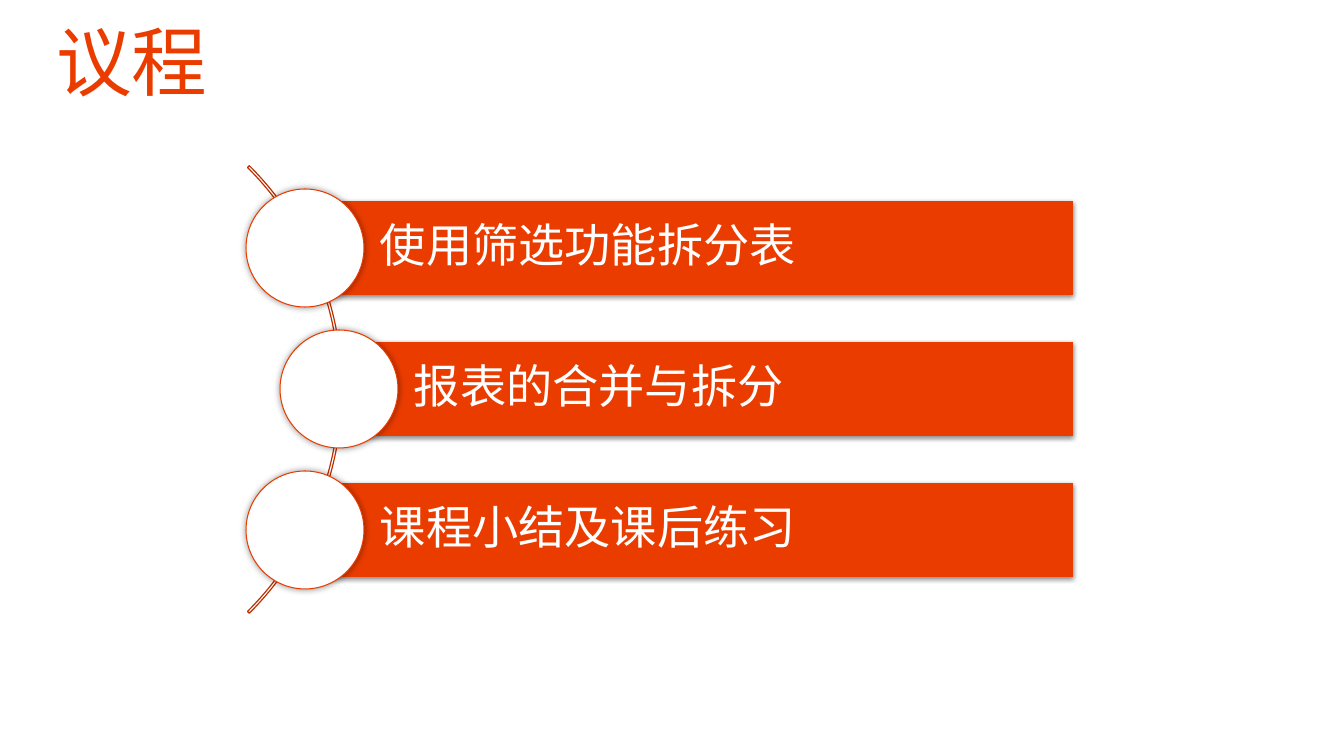
from dataclasses import dataclass

from lxml import etree
from pptx import Presentation, util as u
from pptx.dml.color import RGBColor
from pptx.enum import shapes, text
from pptx.oxml import ns

PIXEL = 914400 / 100.8
ORANGE, DARK_ORANGE, WHITE, BLACK = "EB3C00", "BC3000", "FFFFFF", "000000"
BAR_RIGHT, BAR_HEIGHT = 1073, 94
FIRST_CENTRE, PITCH = 248, 141
CIRCLE = 118


@dataclass(frozen=True)
class AgendaItem:
    label: str
    centre_x: int


@dataclass(frozen=True)
class Shadow:
    opacity: int
    blur: float
    distance: float
    angle: int


@dataclass(frozen=True)
class TextStyle:
    font: str
    size: int
    color: str
    spacing: int = 0


BAR_SHADOW = Shadow(45, 3.5, 1.1, 90)
CIRCLE_SHADOW = Shadow(40, 5, 0, 0)
TITLE_STYLE = TextStyle("Karla", 54, ORANGE, -1)
ITEM_STYLE = TextStyle("Noto Sans CJK SC", 33, WHITE)
AGENDA = [
    AgendaItem("使用筛选功能拆分表", 305),
    AgendaItem("报表的合并与拆分", 339),
    AgendaItem("课程小结及课后练习", 305),
]


def px(value: float) -> int:
    return round(value * PIXEL)


def rgb(value: str) -> RGBColor:
    return RGBColor.from_string(value)


def add_child(parent, tag: str, **attributes):
    values = {name: str(value) for name, value in attributes.items()}
    return etree.SubElement(parent, ns.qn(tag), values)


def add_figure(slide, kind, box, fill=None, line=None, width=0.75, shadow=None):
    shape = slide.shapes.add_shape(kind, *map(px, box))
    shape.shadow.inherit = False
    if fill:
        shape.fill.solid()
        shape.fill.fore_color.rgb = rgb(fill)
    else:
        shape.fill.background()
    if line:
        shape.line.color.rgb = rgb(line)
        shape.line.width = u.Pt(width)
    else:
        shape.line.fill.background()
    if shadow:
        effects = shape._element.spPr.find(ns.qn("a:effectLst"))
        outer = add_child(effects, "a:outerShdw", blurRad=u.Pt(shadow.blur),
                          dist=u.Pt(shadow.distance), dir=shadow.angle * 60000,
                          algn="ctr", rotWithShape=0)
        color = add_child(outer, "a:srgbClr", val=BLACK)
        add_child(color, "a:alpha", val=shadow.opacity * 1000)
    return shape


def write_text(shape, content: str, style: TextStyle, insets, anchor):
    frame = shape.text_frame
    frame.word_wrap = True
    frame.vertical_anchor = anchor
    frame.margin_left, frame.margin_top, frame.margin_right, frame.margin_bottom = map(px, insets)
    paragraph = frame.paragraphs[0]
    paragraph.alignment = text.PP_ALIGN.LEFT
    paragraph.line_spacing = 0.9
    run = paragraph.add_run()
    run.text = content
    run.font.name = style.font
    run.font.size = u.Pt(style.size)
    run.font.color.rgb = rgb(style.color)
    properties = run.font._element
    add_child(properties, "a:ea", typeface=style.font)
    if style.spacing:
        properties.set("spc", str(style.spacing * 100))
    return paragraph


def add_item(slide, item: AgendaItem, centre_y: int) -> None:
    bar = add_figure(slide, shapes.MSO_SHAPE.RECTANGLE,
                     (item.centre_x, centre_y - BAR_HEIGHT / 2,
                      BAR_RIGHT - item.centre_x, BAR_HEIGHT),
                     fill=ORANGE, shadow=BAR_SHADOW)
    paragraph = write_text(bar, item.label, ITEM_STYLE, (75, 9, 9, 9), text.MSO_ANCHOR.MIDDLE)
    after = add_child(paragraph._p.get_or_add_pPr(), "a:spcAft")
    add_child(after, "a:spcPct", val=35000)
    add_figure(slide, shapes.MSO_SHAPE.OVAL,
               (item.centre_x - CIRCLE / 2, centre_y - CIRCLE / 2, CIRCLE, CIRCLE),
               fill=WHITE, line=ORANGE, shadow=CIRCLE_SHADOW)


presentation = Presentation()
presentation.slide_width, presentation.slide_height = px(1344), px(756)
slide = presentation.slides.add_slide(presentation.slide_layouts[6])

title = slide.shapes.add_textbox(*map(px, (57, 25, 1229, 83)))
write_text(title, "议程", TITLE_STYLE, (0, 0, 0, 0), text.MSO_ANCHOR.TOP)

arc = add_figure(slide, shapes.MSO_SHAPE.BLOCK_ARC, (-291, 73, 633, 633),
                 line=DARK_ORANGE, width=0.85)
for index, value in enumerate((189, 27, 0.004)):
    arc.adjustments[index] = value

for row, item in enumerate(AGENDA):
    add_item(slide, item, FIRST_CENTRE + row * PITCH)

presentation.save("out.pptx")
